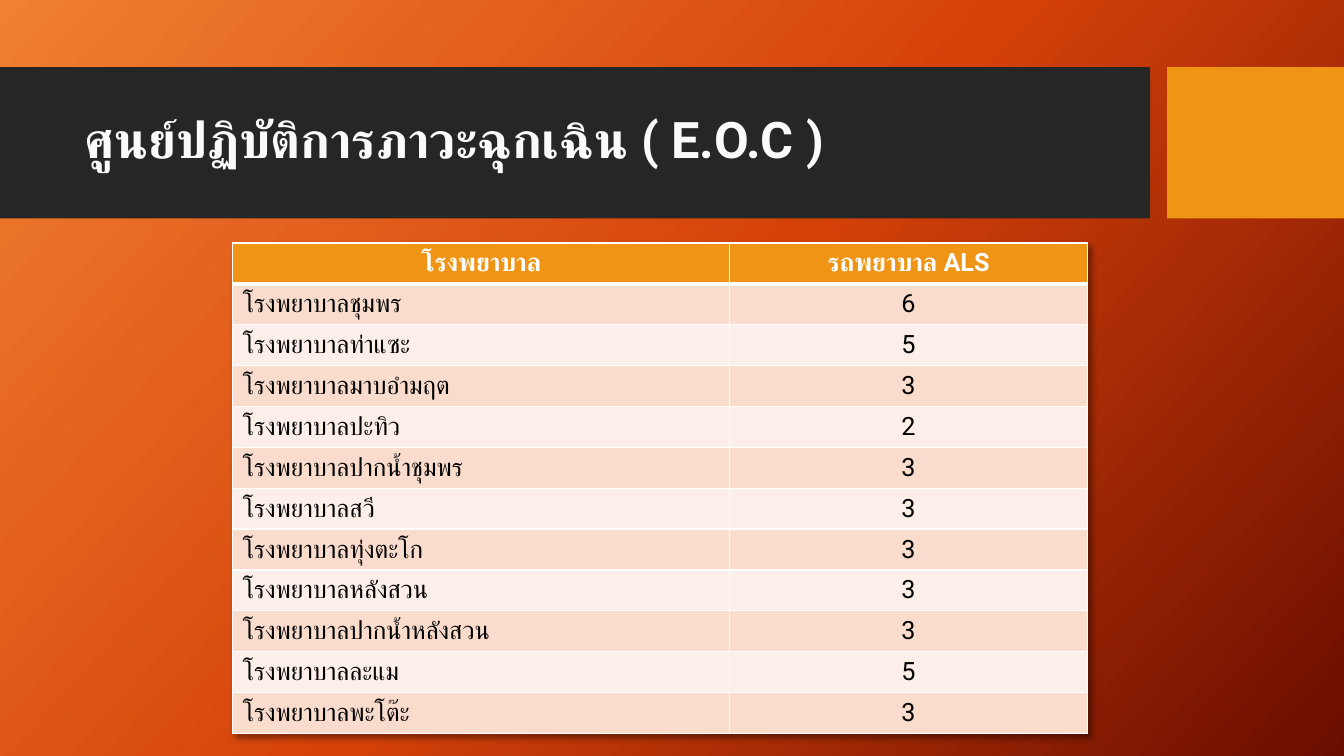
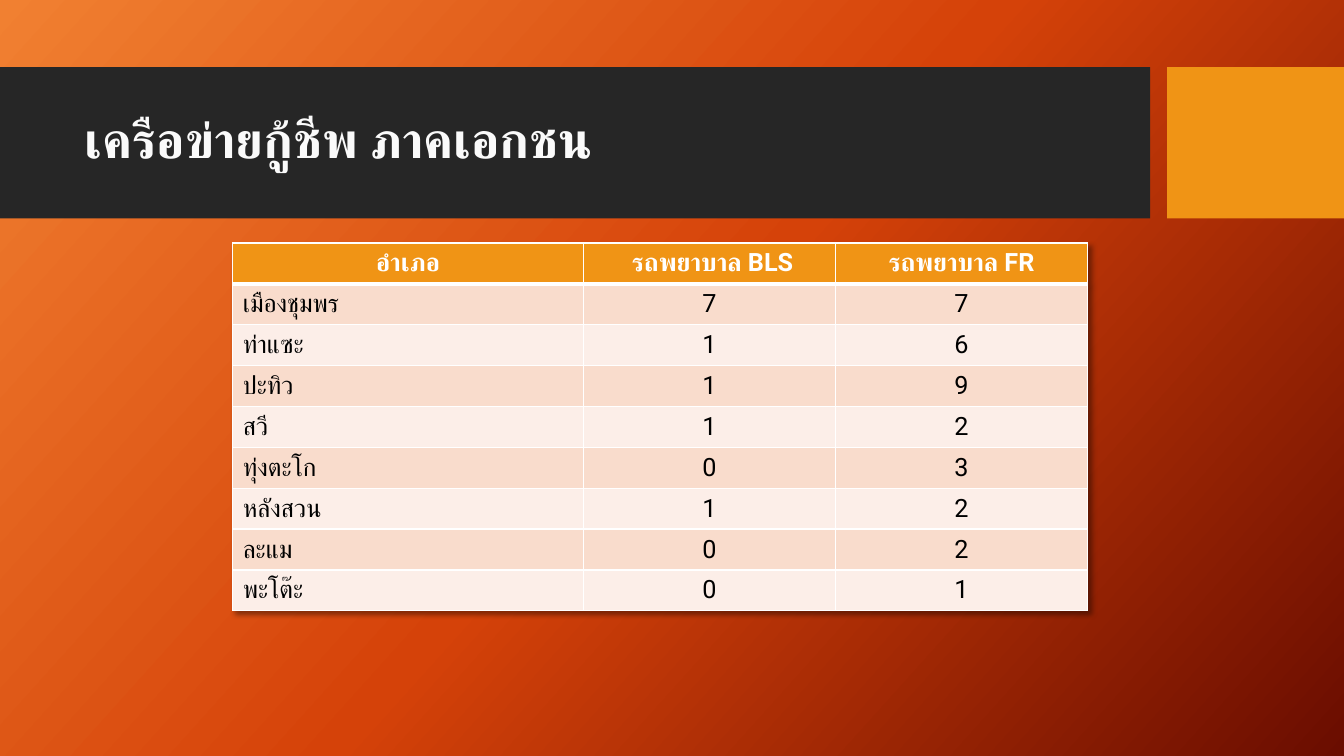
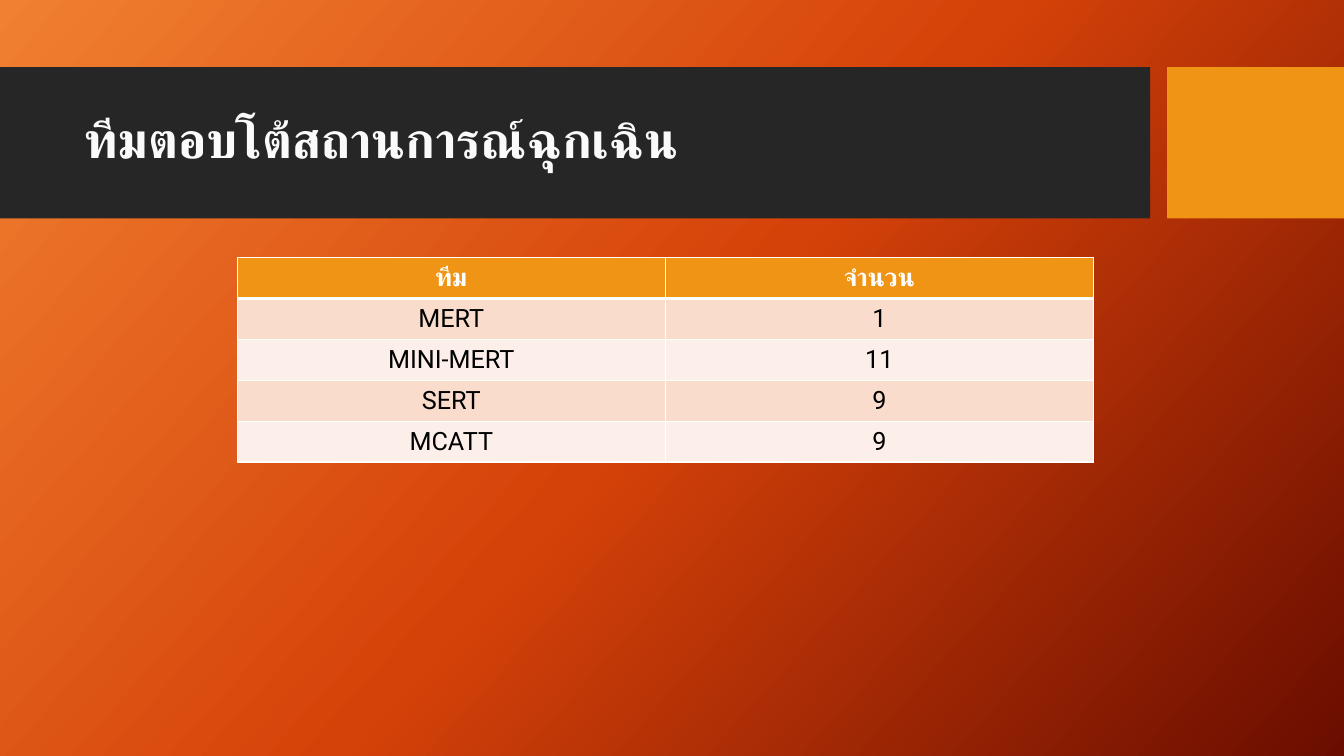
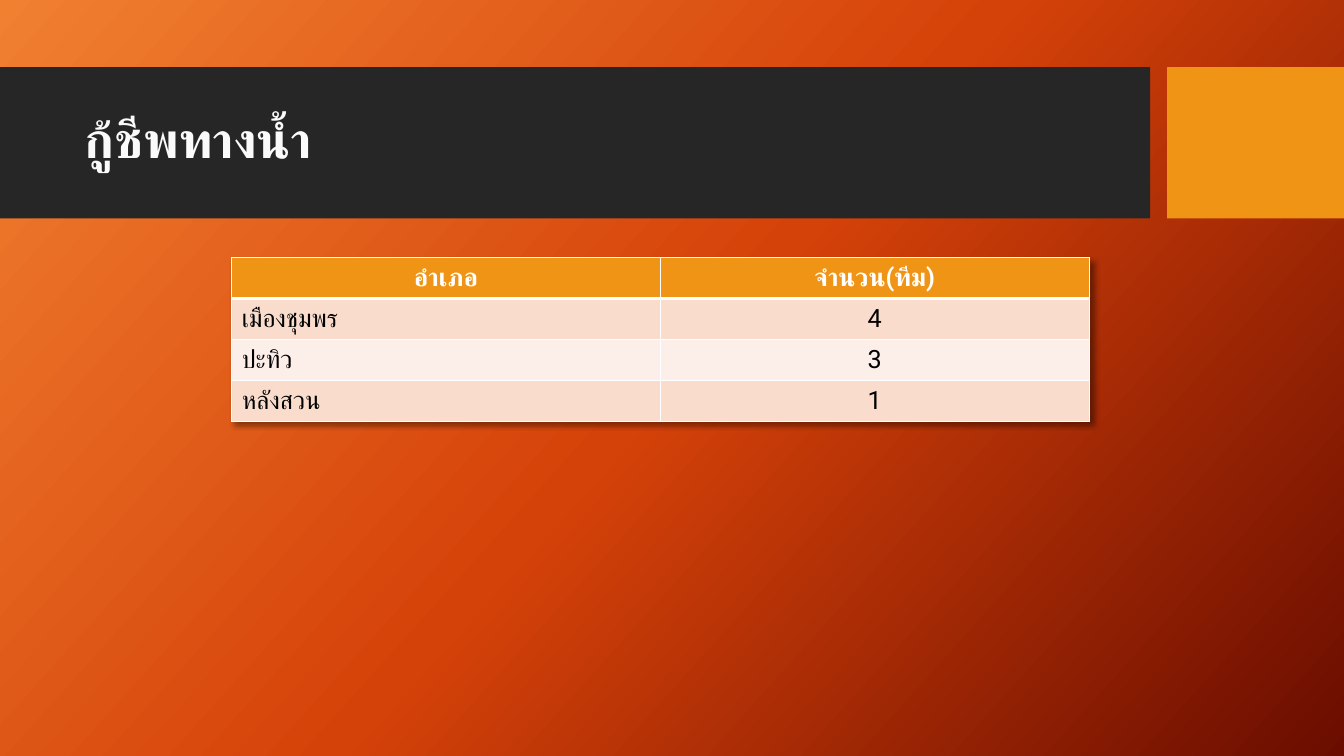
from copy import deepcopy

from lxml import etree
from pptx import Presentation
from pptx import util as u
from pptx.dml import color
from pptx.enum import dml, shapes, text
from pptx.oxml import ns

WHITE, BLACK = "FFFFFF", "000000"
CHARCOAL, ORANGE = "262626", "F09415"
ROW_FILLS = ("F9DCCC", "FCEEE8")
BACKGROUND = ((0, "F18031"), (0.5, "D54209"), (1, "6A0D00"))
CENTER, LEFT = text.PP_ALIGN.CENTER, text.PP_ALIGN.LEFT

HOSPITALS = [
    ("โรงพยาบาล", "รถพยาบาล ALS"),
    ("โรงพยาบาลชุมพร", 6),
    ("โรงพยาบาลท่าแซะ", 5),
    ("โรงพยาบาลมาบอำมฤต", 3),
    ("โรงพยาบาลปะทิว", 2),
    ("โรงพยาบาลปากน้ำชุมพร", 3),
    ("โรงพยาบาลสวี", 3),
    ("โรงพยาบาลทุ่งตะโก", 3),
    ("โรงพยาบาลหลังสวน", 3),
    ("โรงพยาบาลปากน้ำหลังสวน", 3),
    ("โรงพยาบาลละแม", 5),
    ("โรงพยาบาลพะโต๊ะ", 3),
]
PRIVATE_NETWORK = [
    ("อำเภอ", " รถพยาบาล BLS", "รถพยาบาล FR"),
    ("เมืองชุมพร", 7, 7),
    ("ท่าแซะ", 1, 6),
    ("ปะทิว", 1, 9),
    ("สวี", 1, 2),
    ("ทุ่งตะโก", 0, 3),
    ("หลังสวน", 1, 2),
    ("ละแม", 0, 2),
    ("พะโต๊ะ", 0, 1),
]
RESPONSE_TEAMS = [
    ("ทีม", "จำนวน"),
    ("MERT", 1),
    ("MINI-MERT", 11),
    ("SERT", 9),
    ("MCATT", 9),
]
WATER_RESCUE = [
    ("อำเภอ", "จำนวน(ทีม)"),
    ("เมืองชุมพร", 4),
    ("ปะทิว", 3),
    ("หลังสวน", 1),
]


def rgb(value):
    return color.RGBColor.from_string(value)


def assign(target, **values):
    for name, value in values.items():
        setattr(target, name, value)


def add_xml(parent, index, tag, **attributes):
    element = etree.Element(ns.qn(tag), attributes)
    parent.insert(index, element)
    return element


def add_line(parent, index, tag, value, width):
    line = add_xml(parent, index, tag, w=str(u.Pt(width)))
    fill = add_xml(line, 0, "a:solidFill")
    add_xml(fill, 0, "a:srgbClr", val=value)


class Deck:
    font_name = "Roboto"
    row_height = 29.22

    def __init__(self):
        self.presentation = Presentation()
        assign(self.presentation, slide_width=u.Pt(960), slide_height=u.Pt(540))
        self.layout = self.presentation.slide_layouts.get_by_name("Title Only")
        self.slide = None
        self.paint_background()

    def paint_background(self):
        fill = self.layout.background.fill
        fill.gradient()
        fill.gradient_angle = 360 - 42
        stop_list = self.layout.element.xpath(".//a:gsLst")[0]
        stop_list.append(deepcopy(stop_list[-1]))
        for stop, (position, value) in zip(fill.gradient_stops, BACKGROUND):
            stop.position = position
            stop.color.rgb = rgb(value)

    def add_layout_band(self, left, width, value):
        """Draw a band on the current slide, then move it to the shared layout."""
        band = self.slide.shapes.add_shape(
            shapes.MSO_SHAPE.RECTANGLE, u.Pt(left), u.Pt(48), u.Pt(width), u.Pt(108))
        band.shadow.inherit = False
        band.fill.solid()
        band.fill.fore_color.rgb = rgb(value)
        band.line.fill.background()
        band.element.nvSpPr.cNvPr.id = 1 + max(
            shape.shape_id for shape in self.layout.shapes)
        self.layout.shapes.element.insert(2, band.element)

    def add_slide(self, title):
        first = self.slide is None
        self.slide = self.presentation.slides.add_slide(self.layout)
        if first:
            self.add_layout_band(0, 821.5, CHARCOAL)
            self.add_layout_band(833.75, 126.25, ORANGE)
        self.add_title(title)

    def add_run(self, paragraph, content, size, bold):
        run = paragraph.add_run()
        run.text = content
        assign(run.font, name=self.font_name, size=u.Pt(size), bold=bold)
        properties = run.font._element
        add_xml(properties, len(properties), "a:cs", typeface=self.font_name)
        return run

    def add_title(self, content):
        title = self.slide.shapes.title
        assign(title, left=u.Pt(53.25), top=u.Pt(59), width=u.Pt(756.75), height=u.Pt(85))
        assign(title.text_frame, word_wrap=True, auto_size=text.MSO_AUTO_SIZE.NONE,
               vertical_anchor=text.MSO_ANCHOR.MIDDLE)
        paragraph = title.text_frame.paragraphs[0]
        assign(paragraph, alignment=LEFT, line_spacing=0.9)
        font = self.add_run(paragraph, content, 36, True).font
        font.fill.patterned()
        font.fill.pattern = dml.MSO_PATTERN.DARK_UPWARD_DIAGONAL
        font.fill.fore_color.rgb = rgb("E7E6E6")
        font.fill.back_color.rgb = rgb("FAFAFA")
        add_line(font._element, 0, "a:ln", "AFABAB", 1)

    def add_table(self, rows, left, top, widths, first_alignment=LEFT, shadow=True):
        frame = self.slide.shapes.add_table(
            len(rows), len(widths), u.Pt(left), u.Pt(top),
            u.Pt(sum(widths)), u.Pt(self.row_height * len(rows)))
        table = frame.table
        for column, width in zip(table.columns, widths):
            column.width = u.Pt(width)
        for row_index, values in enumerate(rows):
            table.rows[row_index].height = u.Pt(self.row_height)
            for column_index, value in enumerate(values):
                centered = row_index == 0 or column_index > 0
                self.format_cell(table.cell(row_index, column_index), str(value),
                                 row_index, CENTER if centered else first_alignment)
        if shadow:
            self.add_table_shadow(table)

    def format_cell(self, cell, content, row_index, alignment):
        header = row_index == 0
        cell.vertical_anchor = text.MSO_ANCHOR.MIDDLE
        cell.fill.solid()
        cell.fill.fore_color.rgb = rgb(ORANGE if header else ROW_FILLS[(row_index - 1) % 2])
        paragraph = cell.text_frame.paragraphs[0]
        paragraph.alignment = alignment
        run = self.add_run(paragraph, content, 18, header)
        run.font.color.rgb = rgb(WHITE if header else BLACK)
        borders = {"a:lnL": 1, "a:lnR": 1,
                   "a:lnT": 3 if row_index == 1 else 1, "a:lnB": 3 if header else 1}
        properties = cell._tc.get_or_add_tcPr()
        for index, (tag, width) in enumerate(borders.items()):
            add_line(properties, index, tag, WHITE, width)

    def add_table_shadow(self, table):
        effects = add_xml(table._tbl.tblPr, 0, "a:effectLst")
        shadow = add_xml(effects, 0, "a:outerShdw", blurRad=str(u.Pt(4)),
                         dist=str(u.Pt(3)), dir="2700000", algn="tl", rotWithShape="0")
        shade = add_xml(shadow, 0, "a:srgbClr", val=BLACK)
        add_xml(shade, 0, "a:alpha", val="40000")


def main():
    deck = Deck()
    deck.add_slide("ศูนย์ปฏิบัติการภาวะฉุกเฉิน ( E.O.C )")
    deck.add_table(HOSPITALS, 166.25, 173.5, (355, 255.5))
    deck.add_slide("เครือข่ายกู้ชีพ ภาคเอกชน")
    deck.add_table(PRIVATE_NETWORK, 166.25, 173.5, (250.5, 180, 180))
    deck.add_slide("ทีมตอบโต้สถานการณ์ฉุกเฉิน")
    deck.add_table(RESPONSE_TEAMS, 169.5, 184, (305.75, 305.75), CENTER, shadow=False)
    deck.add_slide("กู้ชีพทางน้ำ")
    deck.add_table(WATER_RESCUE, 165.5, 184, (306.25, 306.25))
    deck.presentation.save("out.pptx")


if __name__ == "__main__":
    main()
